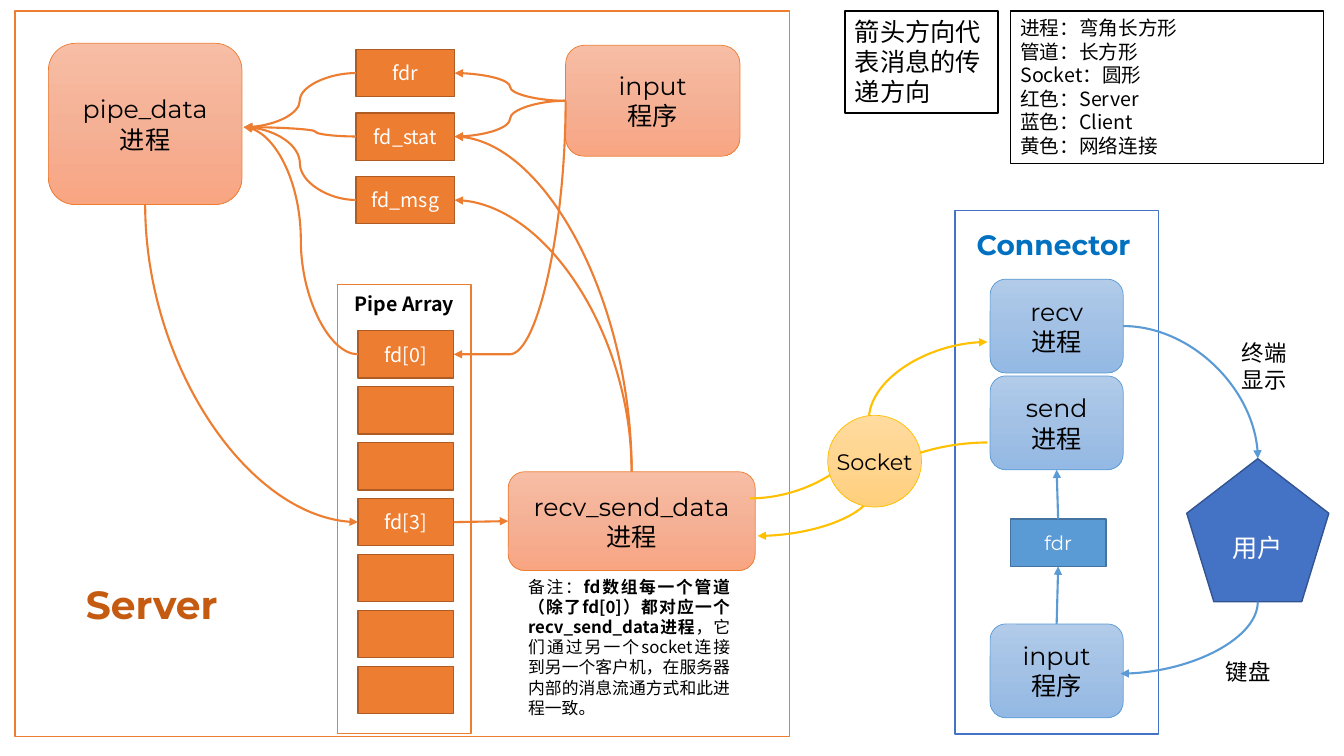
"""Build the message-flow slide of a chat server and its connector."""
from copy import deepcopy

from lxml.etree import SubElement
from pptx import Presentation
from pptx.dml.color import RGBColor
from pptx.enum.shapes import MSO_CONNECTOR as Line, MSO_SHAPE as Shape
from pptx.enum.text import MSO_ANCHOR as Anchor, PP_ALIGN as Align
from pptx.oxml.ns import qn
from pptx.util import Inches, Pt

CELL = 0.1
SANS, DISPLAY = "Noto Sans CJK SC", "Montserrat"
BLACK, WHITE = "000000", "FFFFFF"
ORANGE, BLUE, YELLOW = "ED7D31", "5B9BD5", "FFC000"

LEGEND = ["进程：弯角长方形", "管道：长方形", "Socket：圆形",
          "红色：Server", "蓝色：Client", "黄色：网络连接"]
LEGEND_BOX = (100.2, 1.1, 31.1, 15.1)
SERVER_BOX = (3.7, 57.1, 22.7, 5.7)

PANELS = [
    ((1.5, 1.1, 76.8, 72), ORANGE),
    ((94.7, 20.9, 20.2, 51.9), "4472C4"),
    ((33.5, 28.2, 13.2, 44.6), ORANGE),
    ((83.8, 1.1, 15.2, 10.1), BLACK),
]

LOOKS = {
    "server": (Shape.ROUNDED_RECTANGLE, ["F7BDA5", "F5B196", "F8A582"], ORANGE, 0.5, DISPLAY, 18, BLACK),
    "client": (Shape.ROUNDED_RECTANGLE, ["B1CBE9", "A3C1E5", "93B9E4"], BLUE, 0.5, DISPLAY, 18, BLACK),
    "socket": (Shape.OVAL, ["FFDB9E", "FFD590", "FFD07C"], YELLOW, 0.5, DISPLAY, 16, BLACK),
    "pipe": (Shape.RECTANGLE, [ORANGE], "AF5C24", 1, SANS, 14, WHITE),
    "client pipe": (Shape.RECTANGLE, [BLUE], "43739E", 1, DISPLAY, 14, WHITE),
    "user": (Shape.REGULAR_PENTAGON, ["4472C4"], "325491", 1, DISPLAY, 18, WHITE),
}

NODES = {
    "pipe_data": ("server", (4.8, 4.3, 19.2, 16), "pipe_data\n进程"),
    "input": ("server", (56.1, 4.5, 17.3, 11), "input\n程序"),
    "worker": ("server", (50.4, 46.8, 24.5, 9.8), "recv_send_data\n进程"),
    "recv": ("client", (98.2, 27.7, 13.2, 9.3), "recv\n进程"),
    "send": ("client", (98.2, 37.3, 13.2, 9.3), "send\n进程"),
    "client input": ("client", (98.2, 61.9, 13.2, 9.3), "input\n程序"),
    "client fdr": ("client pipe", (100.2, 51.5, 9.5, 4.7), "fdr"),
    "user": ("user", (117.7, 45.5, 14.1, 14.2), "用户"),
}
for row, label in enumerate(["fdr", "fd_stat", "fd_msg"]):
    NODES[label] = ("pipe", (35.3, 4.9 + 6.3 * row, 9.8, 4.7), label)
for row, label in enumerate(["fd[0]", "", "", "fd[3]", "", "", ""]):
    NODES[label or f"slot {row}"] = ("pipe", (35.5, 32.8 + 5.55 * row, 9.5, 4.7), label)
SOCKET = ("socket", (82.1, 41.2, 9.3, 9.1), "Socket")

TOP, LEFT, BOTTOM, RIGHT = SITES = [(0.5, 0), (0, 0.5), (0.5, 1), (1, 0.5)]
INBOX = (1.01, 0.52)
STYLES = {
    "wave": ("curvedConnector3", 0.5),
    "early wave": ("curvedConnector3", 0.36),
    "drop": ("curvedConnector3", 1),
    "across": ("curvedConnector2", None),
    "upright": ("curvedConnector2", None),
}
EDGES = [
    ("send", (-0.02, 0.71), "worker", (1.01, 0.65), "wave", YELLOW),
    ("worker", (0.98, 0.27), "recv", (-0.02, 0.67), "wave", YELLOW),
    ("input", LEFT, "fdr", RIGHT, "wave", ORANGE),
    ("input", LEFT, "fd_stat", RIGHT, "wave", ORANGE),
    ("input", LEFT, "fd[0]", RIGHT, "drop", ORANGE),
    ("fdr", LEFT, "pipe_data", INBOX, "wave", ORANGE),
    ("fd_stat", LEFT, "pipe_data", INBOX, "early wave", ORANGE),
    ("fd_msg", LEFT, "pipe_data", INBOX, "wave", ORANGE),
    ("fd[0]", LEFT, "pipe_data", INBOX, "wave", ORANGE),
    ("pipe_data", BOTTOM, "fd[3]", LEFT, "upright", ORANGE),
    ("fd[3]", RIGHT, "worker", LEFT, "straight", ORANGE),
    ("worker", TOP, "fd_msg", RIGHT, "upright", ORANGE),
    ("worker", TOP, "fd_stat", RIGHT, "upright", ORANGE),
    ("user", BOTTOM, "client input", (0.98, 0.53), "upright", BLUE),
    ("recv", RIGHT, "user", TOP, "across", BLUE),
    ("client input", TOP, "client fdr", BOTTOM, "straight", BLUE),
    ("client fdr", TOP, "send", BOTTOM, "straight", BLUE),
]

CAPTIONS = [
    ((31, 28.5, 18.2, 3.4), [("Pipe Array", True)], SANS, 14, BLACK, Align.CENTER),
    ((94.7, 22.1, 19.6, 4.4), [("Connector", True)], DISPLAY, 20, "0070C0", Align.CENTER),
    ((120.6, 64.8, 7, 3.7), [("键盘", False)], DISPLAY, 16, BLACK, Align.LEFT),
    ((122.2, 33.2, 7, 6.4), [("终端显示", False)], DISPLAY, 16, BLACK, Align.LEFT),
    ((83.8, 1.1, 15.2, 10.1), [("箭头方向代表消息的传递方向", False)], SANS, 18, BLACK, Align.LEFT),
    ((51.4, 56.7, 22, 15.1), [
        ("备注：", False),
        ("fd数组每一个管道（除了fd[0]）都对应一个recv_send_data进程", True),
        ("，它们通过另一个socket连接到另一个客户机，在服务器内部的消息流通方式和此进程一致。", False),
    ], SANS, 12, BLACK, Align.JUSTIFY),
]


def color(hex_text):
    return RGBColor.from_string(hex_text)


def grid(*cells):
    return [Inches(cell * CELL) for cell in cells]


def place(shape, box):
    shape.left, shape.top, shape.width, shape.height = grid(*box)


def paint(shape, fills, outline, width):
    fill = shape.fill
    if len(fills) == 1:
        fill.solid()
        fill.fore_color.rgb = color(fills[0])
    else:
        fill.gradient()
        fill.gradient_angle = 270
        stops = shape._element.spPr.find(".//" + qn("a:gsLst"))
        stops.insert(1, deepcopy(stops[0]))
        for index, stop in enumerate(fill.gradient_stops):
            stop.position = index / 2
            stop.color.rgb = color(fills[index])
    shape.line.color.rgb = color(outline)
    shape.line.width = Pt(width)


def format_text(shape, font_name, size, font_color, align):
    for paragraph in shape.text_frame.paragraphs:
        paragraph.alignment = align
        paragraph.space_before = Pt(0)
        for run in paragraph.runs:
            run.font.name, run.font.size = font_name, Pt(size)
            run.font.color.rgb = color(font_color)
            SubElement(run._r.rPr, qn("a:ea")).set("typeface", SANS)


def add_box(slide, preset, box, fills, outline, width):
    shape = slide.shapes.add_shape(preset, *grid(*box))
    shape.shadow.inherit = False
    paint(shape, fills, outline, width)
    return shape


def add_node(slide, look, box, text):
    preset, fills, outline, width, font_name, size, font_color = LOOKS[look]
    shape = add_box(slide, preset, box, fills, outline, width)
    shape.text_frame.text = text
    shape.text_frame.word_wrap = False
    shape.text_frame.vertical_anchor = Anchor.MIDDLE
    format_text(shape, font_name, size, font_color, Align.CENTER)
    return shape


def port(name, share):
    left, top, width, height = NODES[name][1]
    return left + width * share[0], top + height * share[1]


def add_edge(slide, shapes, source, source_site, target, target_site, style, line_color):
    start, end = port(source, source_site), port(target, target_site)
    arrow = "a:tailEnd"
    if style == "upright":
        start, end, arrow = end, start, "a:headEnd"
    elif style == "drop":
        middle_x, middle_y = (start[0] + end[0]) / 2, (start[1] + end[1]) / 2
        half_x, half_y = abs(end[0] - start[0]) / 2, abs(end[1] - start[1]) / 2
        start, end = (middle_x - half_y, middle_y - half_x), (middle_x + half_y, middle_y + half_x)
    kind = Line.STRAIGHT if style == "straight" else Line.CURVE
    connector = slide.shapes.add_connector(kind, *grid(*start, *end))
    properties = connector._element.spPr
    if style == "straight":
        connector.begin_connect(shapes[source], SITES.index(source_site))
        connector.end_connect(shapes[target], SITES.index(target_site))
    else:
        preset, bend = STYLES[style]
        geometry = properties.find(qn("a:prstGeom"))
        geometry.set("prst", preset)
        if bend:
            guide = SubElement(geometry.find(qn("a:avLst")), qn("a:gd"))
            guide.set("name", "adj1")
            guide.set("fmla", f"val {round(bend * 100000)}")
    if style == "drop":
        properties.find(qn("a:xfrm")).set("rot", "5400000")
    connector.line.color.rgb = color(line_color)
    connector.line.width = Pt(1.5)
    SubElement(properties.find(qn("a:ln")), qn(arrow)).set("type", "triangle")
    SubElement(properties, qn("a:effectLst"))


def add_caption(slide, box, runs, font_name, size, font_color, align):
    shape = slide.shapes.add_textbox(*grid(*box))
    shape.text_frame.word_wrap = True
    for text, bold in runs:
        run = shape.text_frame.paragraphs[0].add_run()
        run.text, run.font.bold = text, bold
    format_text(shape, font_name, size, font_color, align)


def main():
    presentation = Presentation()
    presentation.slide_width, presentation.slide_height = Inches(13.33), Inches(7.5)
    slide = presentation.slides.add_slide(presentation.slide_layouts[1])
    title, legend = slide.placeholders
    for box, outline in PANELS:
        add_box(slide, Shape.RECTANGLE, box, [WHITE], outline, 1)
    shapes = {name: add_node(slide, *node) for name, node in NODES.items()}
    for edge in EDGES:
        add_edge(slide, shapes, *edge)
    add_node(slide, *SOCKET).text_frame.margin_left = 0
    slide.shapes[-1].text_frame.margin_right = 0
    for caption in CAPTIONS:
        add_caption(slide, *caption)

    slide.shapes._spTree.append(title._element)
    place(title, SERVER_BOX)
    title.text_frame.text = "Server"
    format_text(title, DISPLAY, 28, "C55A11", Align.CENTER)
    title.text_frame.paragraphs[0].runs[0].font.bold = True

    place(legend, LEGEND_BOX)
    paint(legend, [WHITE], BLACK, 1)
    legend.text_frame.text = "\n".join(LEGEND)
    format_text(legend, SANS, 14, BLACK, Align.LEFT)
    for paragraph in legend.text_frame.paragraphs:
        settings = paragraph._p.get_or_add_pPr()
        settings.set("marL", "0")
        settings.set("indent", "0")
        SubElement(settings, qn("a:buNone"))
    presentation.save("out.pptx")


if __name__ == "__main__":
    main()
